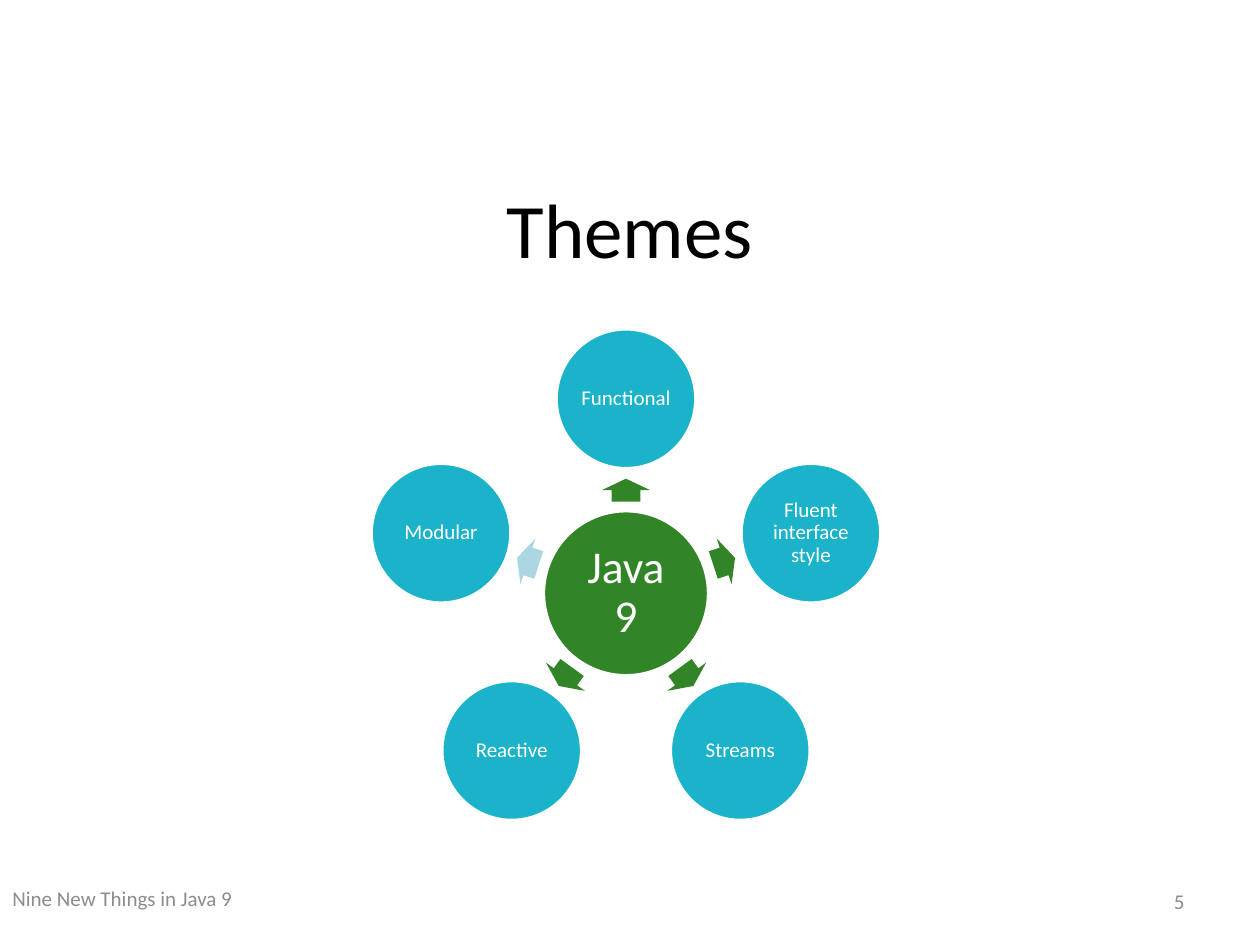
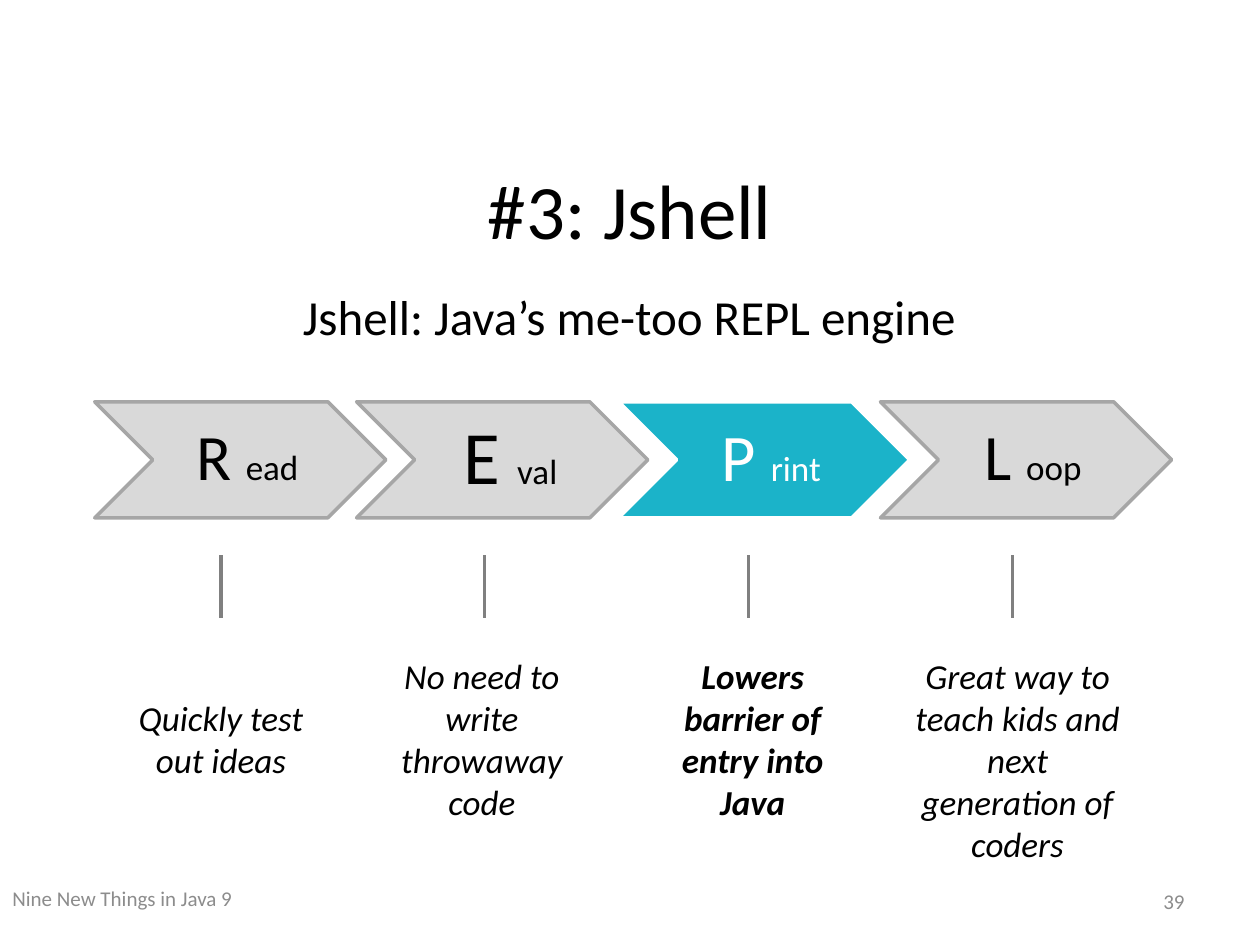
import math

from lxml import etree
from pptx import Presentation
from pptx.dml.color import RGBColor
from pptx.enum import shapes, text
from pptx.oxml import ns
from pptx.util import Cm, Pt

FONT = "Calibri"
BLACK = RGBColor(0x00, 0x00, 0x00)
WHITE = RGBColor(0xFF, 0xFF, 0xFF)
GREEN = RGBColor(0x31, 0x85, 0x27)
TEAL = RGBColor(0x1B, 0xB3, 0xC9)
PALE_BLUE = RGBColor(0xAC, 0xD6, 0xE1)
LIGHT_GRAY = RGBColor(0xD9, 0xD9, 0xD9)
EDGE_GRAY = RGBColor(0xA6, 0xA6, 0xA6)
TICK_GRAY = RGBColor(0x80, 0x80, 0x80)
FOOTER_GRAY = RGBColor(0x8C, 0x8C, 0x8C)

CENTER = text.PP_ALIGN.CENTER
MIDDLE = text.MSO_ANCHOR.MIDDLE

# Wheel of themes, in centimetres
HUB_X, HUB_Y = 12.62, 11.96
HUB_SIZE, THEME_SIZE = 3.33, 2.82
THEME_RADIUS, ARROW_RADIUS = 3.92, 2.08
ARROW_WIDTH, ARROW_HEIGHT = 0.46, 0.97
THEMES = [
    ("Functional", GREEN),
    ("Fluent interface style", GREEN),
    ("Streams", GREEN),
    ("Reactive", GREEN),
    ("Modular", PALE_BLUE),
]

# Initial, its size, rest of word, left inset, other insets, highlighted
STEPS = [
    ("R ", 37, "ead", 0.41, 0.13, False),
    ("E ", 43, "val", 0.48, 0.15, False),
    ("P ", 38, "rint", 0.43, 0.15, True),
    ("L ", 37, "oop", 0.41, 0.13, False),
]
# Left, top, wording, bold
NOTES = [
    (2.13, 13.92, "Quickly test out ideas", False),
    (7.39, 13.06, "No need to write throwaway code", False),
    (12.85, 13.06, "Lowers barrier of entry into Java", True),
    (18.19, 13.06, "Great way to teach kids and next generation of coders", False),
]


def write_runs(paragraph, runs, color, bold=False, italic=False):
    """Add (wording, size) pairs to a paragraph, one run each."""
    for wording, size in runs:
        run = paragraph.add_run()
        run.text = wording
        run.font.name = FONT
        run.font.size = Pt(size)
        run.font.color.rgb = color
        run.font.bold = bold
        run.font.italic = italic


def add_text(slide, left, top, width, height, wording, size, color=BLACK,
             align=CENTER, anchor=text.MSO_ANCHOR.TOP, bold=False, italic=False):
    box = slide.shapes.add_textbox(Cm(left), Cm(top), Cm(width), Cm(height))
    frame = box.text_frame
    frame.word_wrap = True
    frame.vertical_anchor = anchor
    paragraph = frame.paragraphs[0]
    paragraph.alignment = align
    write_runs(paragraph, [(wording, size)], color, bold, italic)


def add_filled(slide, kind, left, top, width, height, fill, edge=None):
    shape = slide.shapes.add_shape(kind, Cm(left), Cm(top), Cm(width), Cm(height))
    shape.shadow.inherit = False
    shape.fill.solid()
    shape.fill.fore_color.rgb = fill
    if edge is None:
        shape.line.fill.background()
    else:
        shape.line.color.rgb = edge
        shape.line.width = Pt(2)
    return shape


def label_shape(shape, runs, color, inset, left_inset=None):
    frame = shape.text_frame
    frame.word_wrap = True
    frame.vertical_anchor = MIDDLE
    frame.margin_top = frame.margin_right = frame.margin_bottom = Cm(inset)
    frame.margin_left = Cm(inset if left_inset is None else left_inset)
    paragraph = frame.paragraphs[0]
    paragraph.alignment = CENTER
    paragraph.line_spacing = 0.9
    write_runs(paragraph, runs, color)


def add_circle(slide, center_x, center_y, diameter, fill, wording, size, inset):
    circle = add_filled(slide, shapes.MSO_SHAPE.OVAL, center_x - diameter / 2,
                        center_y - diameter / 2, diameter, diameter, fill, WHITE)
    label_shape(circle, [(wording, size)], WHITE, inset)


def add_spoke_arrow(slide, center_x, center_y, angle, fill):
    arrow = add_filled(slide, shapes.MSO_SHAPE.RIGHT_ARROW,
                       center_x - ARROW_WIDTH / 2, center_y - ARROW_HEIGHT / 2,
                       ARROW_WIDTH, ARROW_HEIGHT, fill)
    arrow.adjustments[0] = 0.6
    arrow.adjustments[1] = 0.5
    arrow.rotation = angle % 360


def hub_offset(radius, angle):
    """Return the point at a distance and angle from the hub."""
    radians = math.radians(angle)
    return HUB_X + radius * math.cos(radians), HUB_Y + radius * math.sin(radians)


def add_theme_wheel(slide):
    add_circle(slide, HUB_X, HUB_Y, HUB_SIZE, GREEN, "Java 9", 26, 0.1)
    for index, (theme, arrow_color) in enumerate(THEMES):
        angle = index * 360 / len(THEMES) - 90
        add_spoke_arrow(slide, *hub_offset(ARROW_RADIUS, angle), angle, arrow_color)
        add_circle(slide, *hub_offset(THEME_RADIUS, angle), THEME_SIZE,
                   TEAL, theme, 12, 0.05)


def add_steps(slide):
    for index, (initial, size, rest, left_inset, inset, highlighted) in enumerate(STEPS):
        fill, edge, color = ((TEAL, WHITE, WHITE) if highlighted
                             else (LIGHT_GRAY, EDGE_GRAY, BLACK))
        chevron = add_filled(slide, shapes.MSO_SHAPE.CHEVRON,
                             1.91 + index * 5.28, 8.1, 5.87, 2.34, fill, edge)
        label_shape(chevron, [(initial, size), (rest, 20)], color, inset, left_inset)


def add_tick(slide, x):
    tick = slide.shapes.add_connector(shapes.MSO_CONNECTOR.STRAIGHT,
                                      Cm(x), Cm(12.45), Cm(x), Cm(11.18))
    tick.line.color.rgb = TICK_GRAY
    tick.line.width = Pt(2)
    etree.SubElement(tick.element.spPr, ns.qn("a:effectLst"))


def add_slide(presentation, title, title_top, number):
    """Add a blank-layout slide with the shared title and footer."""
    slide = presentation.slides.add_slide(presentation.slide_layouts[6])
    add_text(slide, 0, title_top, 25.4, 2.13, title, 44)
    add_text(slide, 0, 17.6, 25.4, 1.02, "Nine New Things in Java 9", 12,
             FOOTER_GRAY, text.PP_ALIGN.LEFT, MIDDLE)
    add_text(slide, 18.21, 17.65, 5.92, 1.02, str(number), 12,
             FOOTER_GRAY, text.PP_ALIGN.RIGHT, MIDDLE)
    return slide


def main():
    presentation = Presentation()
    presentation.slide_width = Cm(25.4)
    presentation.slide_height = Cm(19.05)

    themes = add_slide(presentation, "Themes", 3.53, 5)
    add_theme_wheel(themes)

    jshell = add_slide(presentation, "#3: Jshell", 3.15, 39)
    add_text(jshell, 1.91, 5.66, 21.77, 1.45, "Jshell: Java’s me-too REPL engine ", 28)
    add_steps(jshell)
    for index, (left, top, wording, bold) in enumerate(NOTES):
        add_tick(jshell, 4.45 + index * 5.32)
        add_text(jshell, left, top, 4.65, 3.68, wording, 20, bold=bold, italic=True)

    presentation.save("out.pptx")


if __name__ == "__main__":
    main()
